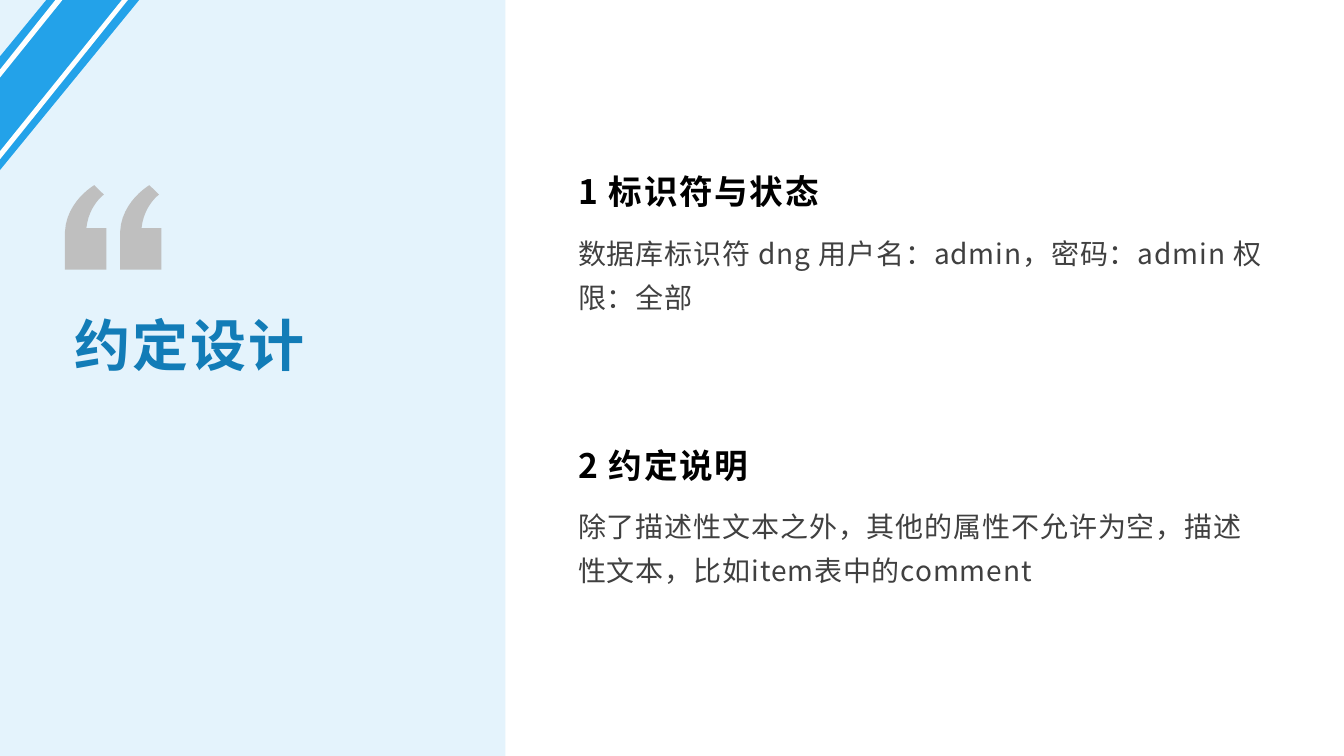
from lxml.etree import SubElement
from pptx import Presentation
from pptx.dml.color import RGBColor
from pptx.enum.shapes import MSO_SHAPE as Preset
from pptx.enum.text import MSO_ANCHOR as Anchor, MSO_AUTO_SIZE as AutoSize, PP_ALIGN as Align
from pptx.oxml.ns import qn
from pptx.util import Pt

FONT = "Noto Sans CJK SC"
PANEL_BLUE = RGBColor(0xE4, 0xF3, 0xFC)
BAND_BLUE = RGBColor(0x23, 0xA2, 0xE9)
TITLE_BLUE = RGBColor(0x12, 0x7C, 0xB7)
WHITE = RGBColor(0xFF, 0xFF, 0xFF)
QUOTE_GREY = RGBColor(0xBF, 0xBF, 0xBF)
BLACK = RGBColor(0, 0, 0)
BODY_GREY = RGBColor(0x40, 0x40, 0x40)

BAND = [(0, 121.5), (0, 40.3), (33.1, 0), (99.4, 0)]
STRIPES = [
    [(0, 113.8), (0, 108), (87.1, 0), (91.4, 0)],
    [(0, 55.4), (0, 49.7), (39.6, 0), (44.6, 0)],
]
QUOTE_LEFT, QUOTE_TOP, QUOTE_STEP = 46.4, 132.3, 39.4

SECTIONS = [
    ("1 标识符与状态", (96, 57.6),
     "数据库标识符 dng 用户名：admin，密码：admin 权限：全部", (159.1, 115.9)),
    ("2 约定说明", (307.4, 41.8),
     "除了描述性文本之外，其他的属性不允许为空，描述性文本，比如item表中的comment", (354.2, 77.8)),
]


def paint(shape, color):
    shape.shadow.inherit = False
    shape.fill.solid()
    shape.fill.fore_color.rgb = color
    shape.line.fill.background()


def add_outline(group, points, color):
    corners = [(Pt(x), Pt(y)) for x, y in points]
    builder = group.shapes.build_freeform(*corners[0])
    builder.add_line_segments(corners[1:], close=True)
    paint(builder.convert_to_shape(), color)


def curve(start, control1, control2, end, steps=12):
    """Return points along a cubic Bézier curve, both ends included."""
    points = []
    for step in range(steps + 1):
        t = step / steps
        weights = ((1 - t) ** 3, 3 * t * (1 - t) ** 2, 3 * t * t * (1 - t), t ** 3)
        points.append(tuple(
            sum(w * value for w, value in zip(weights, values))
            for values in zip(start, control1, control2, end)))
    return points


def add_corner_band(slide):
    group = slide.shapes.add_group_shape()
    add_outline(group, BAND, BAND_BLUE)
    for stripe in STRIPES:
        add_outline(group, stripe, WHITE)


def add_quote_marks(slide):
    mark = [(29.5, 60.3), (0, 60.3)]
    mark += curve((0, 33.3), (1, 11.5), (20.9, 0), (20.9, 0))
    mark += curve((27.8, 6.7), (27.8, 6.7), (17, 14.4), (15.3, 30.6))
    mark.append((29.5, 30.6))
    group = slide.shapes.add_group_shape()
    for number in (1, 0):
        left = QUOTE_LEFT + number * QUOTE_STEP
        add_outline(group, [(left + x, QUOTE_TOP + y) for x, y in mark], QUOTE_GREY)


def fill_placeholder(holder, text, box, *, size, color, bold=False, tracking=0,
                     anchor=Anchor.TOP, line_spacing=1.0, space_after=0):
    """Place a placeholder in front of the other shapes and set its text."""
    holder.left, holder.top, holder.width, holder.height = map(Pt, box)
    holder.element.getparent().append(holder.element)

    frame = holder.text_frame
    frame.word_wrap = True
    frame.auto_size = AutoSize.NONE
    frame.vertical_anchor = anchor
    frame.margin_left = frame.margin_right = Pt(5)
    frame.margin_top = frame.margin_bottom = Pt(2.5)

    paragraph = frame.paragraphs[0]
    paragraph.alignment = Align.LEFT
    paragraph.line_spacing = line_spacing
    paragraph.space_before = Pt(0)
    paragraph.space_after = Pt(space_after)
    properties = paragraph._p.get_or_add_pPr()
    properties.set("marL", "0")
    properties.set("indent", "0")
    SubElement(properties, qn("a:buNone"))

    run = paragraph.add_run()
    run.text = text
    run.font.name = FONT
    run.font.size = Pt(size)
    run.font.bold = bold
    run.font.color.rgb = color
    run_properties = run._r.get_or_add_rPr()
    run_properties.set("spc", str(round(tracking * 100)))
    SubElement(run_properties, qn("a:ea"), typeface=FONT)


def main():
    deck = Presentation()
    deck.slide_width, deck.slide_height = Pt(960), Pt(540)
    comparison_layout = deck.slide_layouts[4]
    slide = deck.slides.add_slide(comparison_layout)
    title, *section_holders = slide.placeholders

    panel = slide.shapes.add_shape(Preset.RECTANGLE, 0, 0, Pt(361), deck.slide_height)
    paint(panel, PANEL_BLUE)
    add_corner_band(slide)
    add_quote_marks(slide)

    fill_placeholder(title, "约定设计", (48, 216, 288, 60), size=40, color=TITLE_BLUE,
                     bold=True, tracking=1.6, anchor=Anchor.MIDDLE)
    holder_pairs = zip(section_holders[::2], section_holders[1::2])
    for (heading_holder, body_holder), section in zip(holder_pairs, SECTIONS):
        heading, (heading_top, heading_height), body, (body_top, body_height) = section
        fill_placeholder(heading_holder, heading, (408, heading_top, 504, heading_height),
                         size=24, color=BLACK, bold=True, tracking=1.2,
                         anchor=Anchor.BOTTOM, line_spacing=1.3, space_after=8)
        fill_placeholder(body_holder, body, (408, body_top, 504, body_height),
                         size=20, color=BODY_GREY, tracking=0.6,
                         line_spacing=1.3, space_after=8)

    deck.save("out.pptx")


if __name__ == "__main__":
    main()
